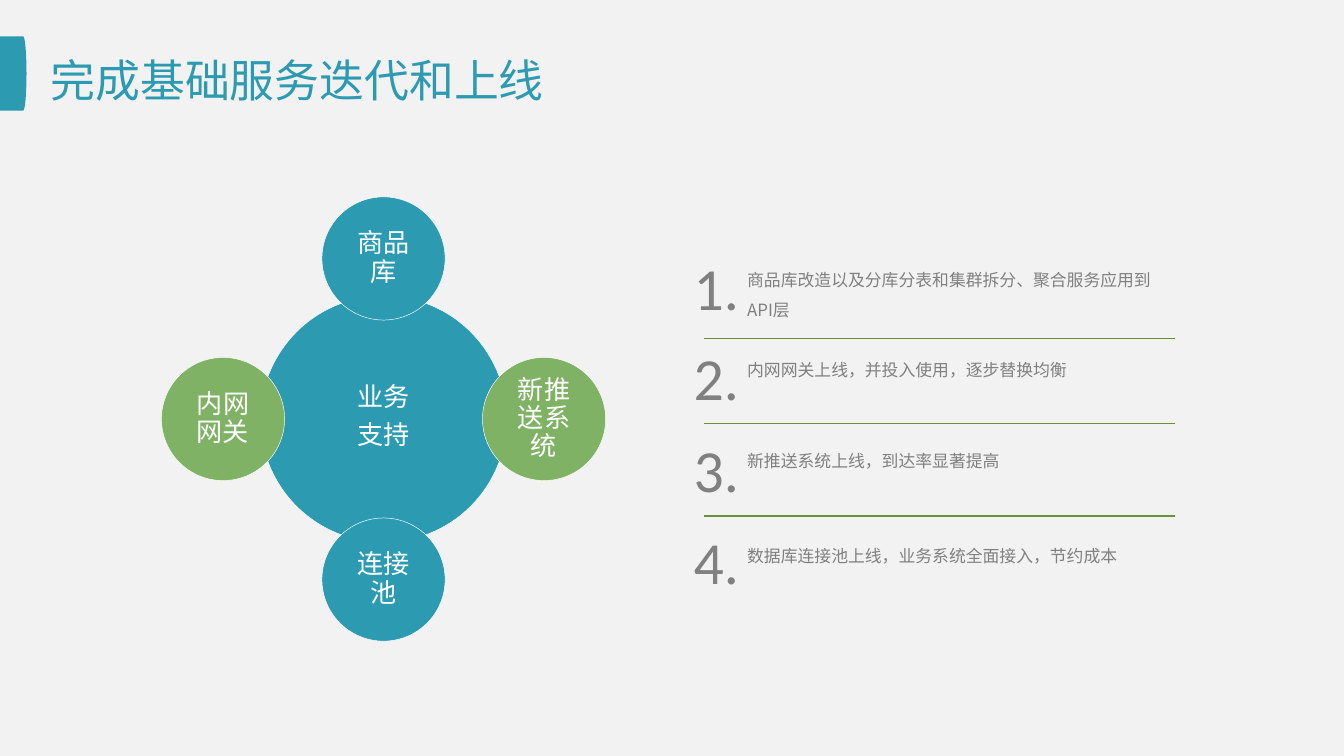
import math
from lxml import etree
from pptx import Presentation
from pptx.dml.color import RGBColor
from pptx.enum import shapes, text
from pptx.oxml import ns
from pptx.util import Pt

TITLE = "完成基础服务迭代和上线"
CORE = ["业务", "支持"]
# label, colour and angle of each circle around the core
NODES = [
    ("商品库", "teal", -90),
    ("新推送系统", "green", 0),
    ("连接池", "teal", 90),
    ("内网网关", "green", 180),
]
# wording, top of the number, top of the wording
ITEMS = [
    ("商品库改造以及分库分表和集群拆分、聚合服务应用到API层", 133.2, 137.5),
    ("内网网关上线，并投入使用，逐步替换均衡", 181.4, 185.8),
    ("新推送系统上线，到达率显著提高", 230.4, 234.7),
    ("数据库连接池上线，业务系统全面接入，节约成本", 280, 285.8),
]
RULES = [181.4, 226.8, 276.5]

THEME = {
    "back": "F2F2F2", "teal": "2C9AB1", "green": "7FB265",
    "rule": "659532", "grey": "808080", "white": "FFFFFF",
    "head": 24, "label": 14, "number": 32, "body": 9,
    "latin": "Calibri", "cjk": "Noto Sans CJK SC",
}
MID_X, MID_Y, ORBIT = 205.5, 224.5, 86
CORE_R, NODE_R = 66, 33

LABEL = {"size": "label", "color": "white", "face": "latin",
         "para": {"alignment": text.PP_ALIGN.CENTER, "line_spacing": 0.9,
                  "space_after": Pt(4.9)}}
NUMBER = {"size": "number", "color": "grey", "face": "latin", "para": {}}
BODY = {"size": "body", "color": "grey", "face": "cjk",
        "para": {"line_spacing": 1.5}}
HEAD = {"size": "head", "color": "teal", "face": "cjk",
        "para": {"alignment": text.PP_ALIGN.LEFT}}


def tint(name):
    return RGBColor.from_string(THEME[name])


def write(shape, lines, style, pad, anchor=text.MSO_ANCHOR.TOP):
    """Fill a shape with styled lines; pad is (side, top and bottom)."""
    frame = shape.text_frame
    side, edge = map(Pt, pad)
    form = {"word_wrap": True, "auto_size": text.MSO_AUTO_SIZE.NONE,
            "vertical_anchor": anchor,
            "margin_left": side, "margin_right": side,
            "margin_top": edge, "margin_bottom": edge}
    for key, val in form.items():
        setattr(frame, key, val)
    for i, line in enumerate(lines):
        para = frame.add_paragraph() if i else frame.paragraphs[0]
        for key, val in style["para"].items():
            setattr(para, key, val)
        run = para.add_run()
        run.text = line
        face = THEME[style["face"]]
        run.font.name = face
        run.font.size = Pt(THEME[style["size"]])
        run.font.color.rgb = tint(style["color"])
        east = etree.SubElement(run._r.get_or_add_rPr(), ns.qn("a:ea"))
        east.set("typeface", face)


def draw(slide, kind, box, fill, edge=None):
    shape = slide.shapes.add_shape(kind, *map(Pt, box))
    shape.shadow.inherit = False
    shape.fill.solid()
    shape.fill.fore_color.rgb = tint(fill)
    if edge:
        shape.line.color.rgb = tint(edge)
        shape.line.width = Pt(0.25)
    else:
        shape.line.fill.background()
    return shape


def disc(slide, x, y, r, fill):
    box = (x - r, y - r, 2 * r, 2 * r)
    return draw(slide, shapes.MSO_SHAPE.OVAL, box, fill, "white")


def note(slide, box, lines, style, pad=(2.9, 1.4)):
    write(slide.shapes.add_textbox(*map(Pt, box)), lines, style, pad)


def rule(slide, y):
    line = slide.shapes.add_connector(
        shapes.MSO_CONNECTOR.STRAIGHT, Pt(377.3), Pt(y), Pt(629.3), Pt(y))
    line.line.color.rgb = tint("rule")
    line.line.width = Pt(0.75)
    etree.SubElement(line._element.spPr, ns.qn("a:effectLst"))


def head(slide):
    draw(slide, shapes.MSO_SHAPE.RECTANGLE, (0, 19.5, 12.4, 39.8), "teal")
    draw(slide, shapes.MSO_SHAPE.OVAL, (10.6, 19.5, 3.6, 39.8), "teal")
    title = slide.shapes.title
    place = zip(("left", "top", "width", "height"), (20, 21, 648, 43.2))
    for key, val in place:
        setattr(title, key, Pt(val))
    write(title, [TITLE], HEAD, (7.2, 3.6), text.MSO_ANCHOR.MIDDLE)


def wheel(slide):
    disc(slide, MID_X, MID_Y, CORE_R, "teal")
    for label, fill, turn in NODES:
        ang = math.radians(turn)
        node = disc(slide, MID_X + ORBIT * math.cos(ang),
                    MID_Y + ORBIT * math.sin(ang), NODE_R, fill)
        write(node, [label], LABEL, (7.6, 7.6), text.MSO_ANCHOR.MIDDLE)
    note(slide, (176.4, 202.3, 58.3, 44), CORE, LABEL, (7.2, 3.6))


def points(slide):
    for num, (line, top, low) in enumerate(ITEMS, 1):
        note(slide, (368.7, top, 32.4, 41.8), [f"{num}."], NUMBER)
        note(slide, (397.4, low, 231.8, 35.3), [line], BODY)
    for y in RULES:
        rule(slide, y)


def main():
    deck = Presentation()
    deck.slide_width, deck.slide_height = Pt(720), Pt(405)
    slide = deck.slides.add_slide(deck.slide_layouts[5])
    slide.background.fill.solid()
    slide.background.fill.fore_color.rgb = tint("back")
    head(slide)
    wheel(slide)
    points(slide)
    deck.save("out.pptx")


if __name__ == "__main__":
    main()
